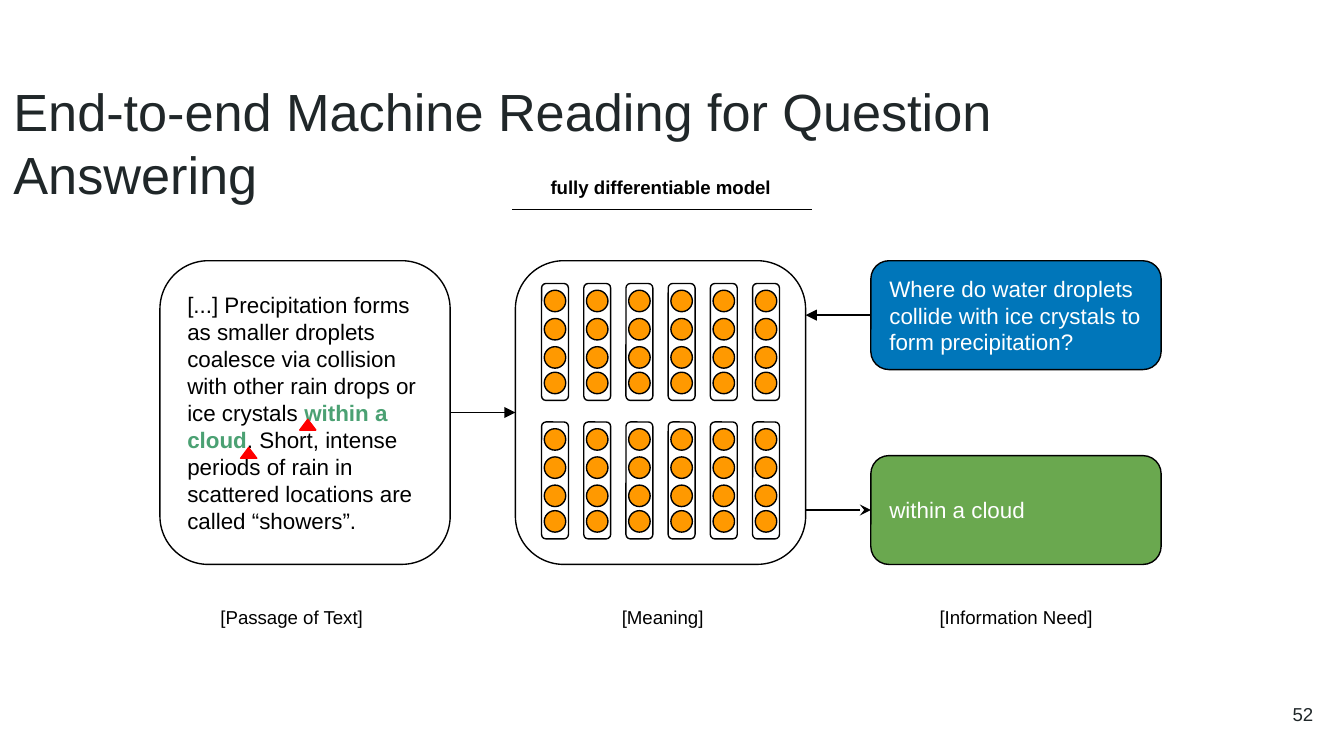
"""Build the slide on end-to-end machine reading for question answering."""
from lxml.etree import SubElement
from pptx import Presentation
from pptx.dml.color import RGBColor
from pptx.enum.shapes import MSO_CONNECTOR, MSO_SHAPE
from pptx.enum.text import MSO_ANCHOR, MSO_AUTO_SIZE, PP_ALIGN
from pptx.oxml.ns import qn
from pptx.util import Inches, Pt

HUES = {"ink": "000000", "title": "202729", "white": "FFFFFF", "blue": "0076BA",
        "green": "6AA84F", "answer": "4BA173", "dot": "FF9900", "mark": "FF0000"}
TITLE = "End-to-end Machine Reading for Question Answering"
PASSAGE = [
    ("[...] Precipitation forms as smaller droplets coalesce via collision "
     "with other rain drops or ice crystals ", "ink", False),
    ("within a cloud", "answer", True),
    (". Short, intense periods of rain in scattered locations are called "
     "“showers”.", "ink", False),
]
QUERY = "Where do water droplets collide with ice crystals to form precipitation?"
REPLY = "within a cloud"
LABELS = [("[Passage of Text]", 1.48, 1.38), ("[Meaning]", 4.34, 1.18),
          ("[Information Need]", 6.77, 1.58)]
MARKS = [(2.23, 3.12), (1.79, 3.33)]

WIDE = 10
HIGH = WIDE * 9 / 16
FIRST, LAST, TOP = 1.19, 6.48, 1.94
COL_W, COL_H, CARD_H = 2.16, 2.26, 0.81
COLS = [FIRST + i * (LAST - FIRST) / 2 for i in range(3)]
VEC_W, VEC_H, VEC_N = 0.2, 0.87, 6
VEC_X, VEC_END, VEC_ROWS = 4.03, 5.6, (2.11, 3.14)
DOT, DOT_ROWS = 0.16, (0.05, 0.26, 0.47, 0.66)


def tint(name):
    return RGBColor.from_string(HUES[name])


def write(shape, runs, size=12, hue="ink", bold=False,
          align=PP_ALIGN.LEFT, anchor=MSO_ANCHOR.MIDDLE):
    frame = shape.text_frame
    frame.word_wrap = True
    frame.auto_size = MSO_AUTO_SIZE.NONE
    frame.vertical_anchor = anchor
    frame.margin_left = frame.margin_right = Inches(0.1)
    frame.margin_top = frame.margin_bottom = Inches(0.1)
    line = frame.paragraphs[0]
    line.alignment = align
    if isinstance(runs, str):
        runs = [(runs, hue, bold)]
    for words, shade, heavy in runs:
        run = line.add_run()
        run.text = words
        run.font.name = "Arial"
        run.font.size = Pt(size)
        run.font.bold = heavy
        run.font.color.rgb = tint(shade)


def place(kind, x, y, w, h, fill=None, line="ink", home=None):
    shape = (home or slide).shapes.add_shape(
        kind, Inches(x), Inches(y), Inches(w), Inches(h))
    shape.shadow.inherit = False
    if fill:
        shape.fill.solid()
        shape.fill.fore_color.rgb = tint(fill)
    else:
        shape.fill.background()
    shape.line.color.rgb = tint(line)
    shape.line.width = Pt(0.75)
    return shape


def label(words, x, y, w, h=0.33, **look):
    box = slide.shapes.add_textbox(Inches(x), Inches(y), Inches(w), Inches(h))
    write(box, words, **{"size": 10, "align": PP_ALIGN.CENTER, **look})


def link(x, y, end, kind=MSO_CONNECTOR.STRAIGHT, **tips):
    wire = slide.shapes.add_connector(
        kind, Inches(x), Inches(y), Inches(end), Inches(y))
    wire.line.color.rgb = tint("ink")
    wire.line.width = Pt(0.75)
    stroke = wire.line._get_or_add_ln()
    for tip, style in tips.items():
        SubElement(stroke, qn(f"a:{tip}"), type=style)
    SubElement(wire._element.spPr, qn("a:effectLst"))
    return wire


def vector(x, y):
    group = slide.shapes.add_group_shape()
    place(MSO_SHAPE.ROUNDED_RECTANGLE, x, y, VEC_W, VEC_H, home=group)
    for drop in DOT_ROWS:
        place(MSO_SHAPE.OVAL, x + (VEC_W - DOT) / 2, y + drop, DOT, DOT,
              fill="dot", home=group)


deck = Presentation()
deck.slide_width, deck.slide_height = Inches(WIDE), Inches(HIGH)
slide = deck.slides.add_slide(deck.slide_layouts[5])

title = slide.shapes.title
title.left, title.top = Inches(0), Inches(0.49)
title.width, title.height = Inches(9.32), Inches(0.63)
write(title, TITLE, size=28, hue="title", anchor=MSO_ANCHOR.TOP)

passage, model = [place(MSO_SHAPE.ROUNDED_RECTANGLE, x, TOP, COL_W, COL_H)
                  for x in COLS[:2]]
write(passage, PASSAGE)
for x, y in MARKS:
    place(MSO_SHAPE.FLOWCHART_EXTRACT, x, y, 0.12, 0.08, fill="mark", line="mark")

for y in VEC_ROWS:
    for i in range(VEC_N):
        vector(VEC_X + i * (VEC_END - VEC_X) / (VEC_N - 1), y)

wire = link(COLS[0] + COL_W, TOP + COL_H / 2, COLS[1], tailEnd="triangle")
wire.begin_connect(passage, 3)
wire.end_connect(model, 1)

CARDS = [(QUERY, TOP, "blue", {"headEnd": "triangle"}),
         (REPLY, TOP + COL_H - CARD_H, "green", {"tailEnd": "stealth"})]
for words, y, fill, tips in CARDS:
    card = place(MSO_SHAPE.ROUNDED_RECTANGLE, COLS[2], y, COL_W, CARD_H, fill=fill)
    write(card, words, hue="white")
    wire = link(COLS[1] + COL_W, y + CARD_H / 2, COLS[2],
                kind=MSO_CONNECTOR.ELBOW, **tips)
    wire.end_connect(card, 1)

link(3.81, 1.56, 6.04)
label("fully differentiable model", 3.73, 1.23, 2.37, bold=True)
for words, x, w in LABELS:
    label(words, x, 4.43, w)
label("52", 9.27, 5.1, 0.6, h=0.43, hue="title", align=PP_ALIGN.RIGHT)

deck.save("out.pptx")
